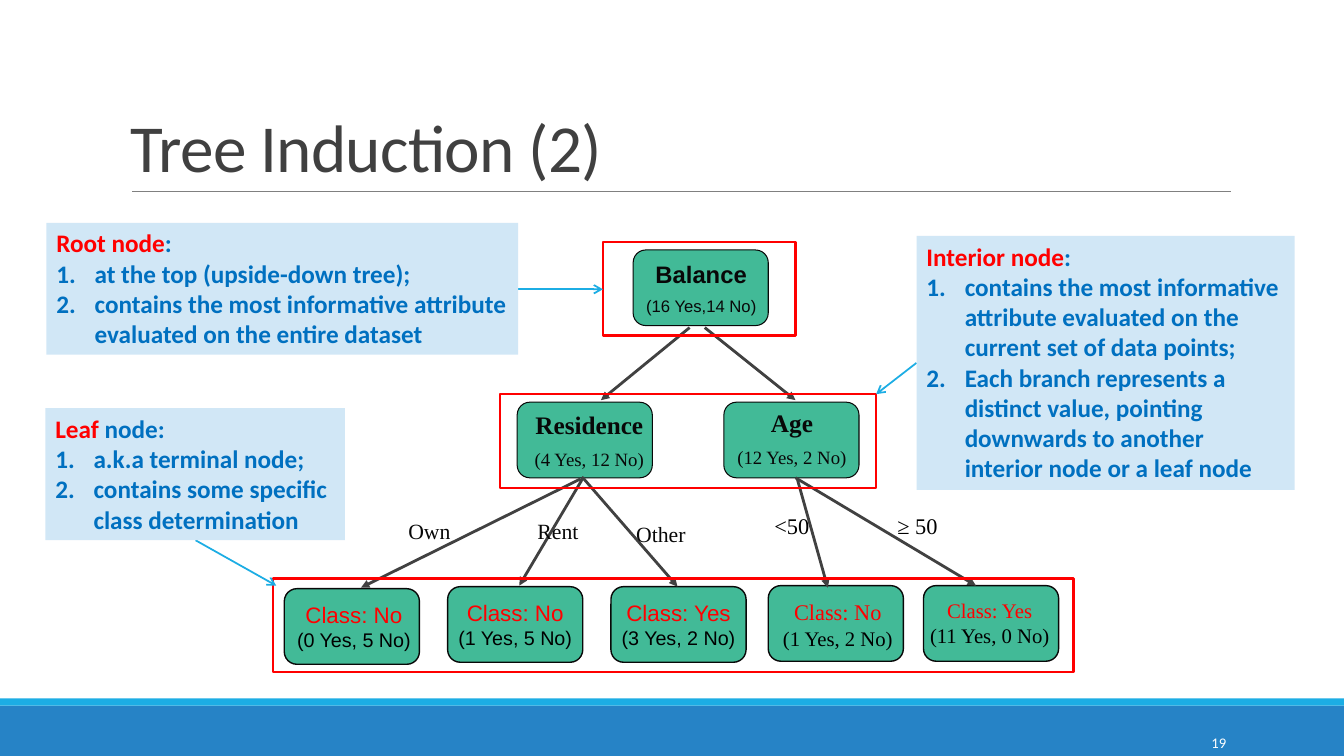
from dataclasses import dataclass

from lxml import etree
from pptx import Presentation
from pptx.dml.color import RGBColor
from pptx.enum import shapes, text
from pptx.oxml.ns import qn
from pptx.util import Inches, Pt


@dataclass(frozen=True)
class Theme:
    """Colours, fonts and type sizes of the slide."""
    band: str = "2683C6"
    accent: str = "1CADE4"
    rule: str = "808080"
    heading: str = "404040"
    node: str = "42BA97"
    ink: str = "080808"
    black: str = "000000"
    edge: str = "414141"
    red: str = "FF0000"
    blue: str = "0070C0"
    note: str = "D1E7F6"
    white: str = "FFFFFF"
    body: str = "Calibri"
    sans: str = "Arial"
    serif: str = "Times New Roman"
    title_size: float = 48
    note_size: float = 18
    page_size: float = 10.5
    root_sizes: tuple = (17, 11.9)
    inner_sizes: tuple = (18, 13.4)
    leaf_sizes: tuple = (16, 14.1)
    old_sizes: tuple = (16, 14.8)
    oldest_sizes: tuple = (14.8, 14.8)
    label_size: float = 15.5
    age_label_size: float = 16


class TreeSlide:
    """Draws the elements of a decision tree on one slide."""

    NODE_W, NODE_H = 1.34, 0.75

    def __init__(self, prs, theme):
        self.theme = theme
        self.slide = prs.slides.add_slide(prs.slide_layouts[6])

    def shape(self, box, fill=None, line=None, width=1, kind=shapes.MSO_SHAPE.RECTANGLE):
        """Add a preset shape with an optional fill and outline."""
        sp = self.slide.shapes.add_shape(kind, *map(Inches, box))
        sp.shadow.inherit = False
        if fill:
            sp.fill.solid()
            sp.fill.fore_color.rgb = RGBColor.from_string(fill)
        else:
            sp.fill.background()
        if line:
            sp.line.color.rgb = RGBColor.from_string(line)
            sp.line.width = Pt(width)
        else:
            sp.line.fill.background()
        return sp

    def line(self, start, end, color, width, head=None):
        """Add a straight connector with an optional arrowhead."""
        cx = self.slide.shapes.add_connector(
            shapes.MSO_CONNECTOR.STRAIGHT, *map(Inches, (*start, *end)))
        cx.line.color.rgb = RGBColor.from_string(color)
        cx.line.width = Pt(width)
        if head:
            etree.SubElement(cx.line._get_or_add_ln(), qn("a:tailEnd"), type=head)
        etree.SubElement(cx._element.spPr, qn("a:effectLst"))

    def run(self, p, words, size, color, font, bold=False):
        """Add one styled run to a paragraph."""
        r = p.add_run()
        r.text = words
        r.font.size, r.font.name, r.font.bold = Pt(size), font, bold
        r.font.color.rgb = RGBColor.from_string(color)
        return r

    def textbox(self, box, anchor=text.MSO_ANCHOR.MIDDLE, inset=None, wrap=False):
        """Add an empty text box and return its frame."""
        tf = self.slide.shapes.add_textbox(*map(Inches, box)).text_frame
        tf.word_wrap, tf.vertical_anchor = wrap, anchor
        if inset is not None:
            tf.margin_left = tf.margin_right = Inches(inset)
            tf.margin_top = tf.margin_bottom = Inches(inset)
        return tf

    def title(self, words):
        """Add the slide title and the rule below it."""
        t = self.theme
        self.line((1.31, 1.9), (12.21, 1.9), t.rule, 0.5)
        p = self.textbox((1.2, 0.31, 11, 1.59), text.MSO_ANCHOR.BOTTOM, wrap=True).paragraphs[0]
        p.line_spacing = 0.85
        r = self.run(p, words, t.title_size, t.heading, t.body)
        r.font._element.set("spc", "-50")

    def footer(self, number):
        """Add the bottom bands and the page number."""
        t = self.theme
        self.shape((0, 7, 13.33, 0.5), t.band)
        self.shape((0, 6.93, 13.33, 0.07), t.accent)
        p = self.textbox((10.83, 7.17, 1.43, 0.4), wrap=True).paragraphs[0]
        p.alignment = text.PP_ALIGN.RIGHT
        self.run(p, number, t.page_size, t.white, t.body)

    def node(self, at, text_box, name, counts, font, sizes, leaf=False):
        """Add a tree node with its name over its class counts."""
        t = self.theme
        self.shape((*at, self.NODE_W, self.NODE_H), t.node, t.ink, 1 if leaf else 0.75,
                   shapes.MSO_SHAPE.ROUNDED_RECTANGLE)
        tf = self.textbox(text_box, inset=0)
        first, second = tf.paragraphs[0], tf.add_paragraph()
        first.alignment = second.alignment = text.PP_ALIGN.CENTER
        if not leaf:
            first.space_after = Pt(6)
        self.run(first, name, sizes[0], t.red if leaf else t.ink, font, not leaf)
        self.run(second, counts, sizes[1], t.black if leaf else t.ink, font)

    def label(self, box, words, size, color):
        """Add the value that a branch stands for."""
        p = self.textbox(box, inset=0.04).paragraphs[0]
        self.run(p, words, size, color, self.theme.serif)

    def note(self, box, term, rest, points):
        """Add a definition box with a numbered list."""
        t = self.theme
        tf = self.shape(box, t.note).text_frame
        tf.word_wrap, tf.vertical_anchor = True, text.MSO_ANCHOR.TOP
        p = tf.paragraphs[0]
        p.alignment = text.PP_ALIGN.LEFT
        self.run(p, term, t.note_size, t.red, t.body, True)
        self.run(p, rest, t.note_size, t.blue, t.body, True)
        for point in points:
            p = tf.add_paragraph()
            p.alignment = text.PP_ALIGN.LEFT
            pPr = p._p.get_or_add_pPr()
            pPr.set("marL", str(Inches(0.38)))
            pPr.set("indent", str(-Inches(0.38)))
            etree.SubElement(pPr, qn("a:buFont"), typeface="+mj-lt")
            etree.SubElement(pPr, qn("a:buAutoNum"), type="arabicPeriod")
            self.run(p, point, t.note_size, t.blue, t.body, True)


def main():
    """Build and save the slide."""
    prs = Presentation()
    prs.slide_width, prs.slide_height = Inches(13.33), Inches(7.5)
    t = Theme()
    s = TreeSlide(prs, t)
    s.footer("19")
    s.title("Tree Induction (2)")

    for node in (
        ((6.28, 2.48), (6.39, 2.57, 1.13, 0.57), "Balance", "(16 Yes,14 No)", t.sans, t.root_sizes),
        ((5.13, 3.99), (5.3, 4.06, 1.09, 0.61), "Residence", "(4 Yes, 12 No)", t.serif, t.inner_sizes),
        ((7.18, 3.99), (7.31, 4.04, 1.09, 0.61), "Age", "(12 Yes, 2 No)", t.serif, t.inner_sizes),
    ):
        s.node(*node)
    for leaf in (
        ((2.82, 5.84), (2.94, 5.96, 1.14, 0.51), "Class: No", "(0 Yes, 5 No)", t.sans, t.leaf_sizes),
        ((4.44, 5.82), (4.54, 5.94, 1.14, 0.51), "Class: No", "(1 Yes, 5 No)", t.sans, t.leaf_sizes),
        ((6.06, 5.82), (6.16, 5.94, 1.14, 0.51), "Class: Yes", "(3 Yes, 2 No)", t.sans, t.leaf_sizes),
        ((7.62, 5.81), (7.66, 5.91, 1.3, 0.57), "Class: No", "(1 Yes, 2 No)", t.serif, t.old_sizes),
        ((9.16, 5.81), (9.22, 5.9, 1.19, 0.55), "Class: Yes", "(11 Yes, 0 No)", t.serif, t.oldest_sizes),
    ):
        s.node(*leaf, leaf=True)

    for start, end in (
        ((6.84, 3.25), (5.96, 3.97)), ((6.99, 3.25), (7.89, 3.97)),
        ((5.76, 4.75), (3.58, 5.83)), ((5.79, 4.75), (6.72, 5.82)),
        ((5.79, 4.73), (5.15, 5.81)), ((7.89, 4.74), (9.68, 5.81)),
        ((7.91, 4.76), (8.21, 5.83)),
    ):
        s.line(start, end, t.edge, 2, "triangle")
    for x, y, w, words in ((4.01, 5.1, 0.5, "Own"), (5.29, 5.1, 0.49, "Rent"), (6.27, 5.13, 0.57, "Other")):
        s.label((x, y, w, 0.34), words, t.label_size, t.ink)
    for x, w, words in ((7.64, 0.43, "<50"), (8.86, 0.48, "≥ 50")):
        s.label((x, 5.04, w, 0.35), words, t.age_label_size, t.black)

    for x, y, w in ((5.98, 2.4, 1.91), (4.96, 3.91, 3.73), (2.71, 5.74, 7.94)):
        s.shape((x, y, w, 0.93), line=t.red, width=1.75)
    for start, end in (((5.13, 2.87), (5.98, 2.87)), ((9.09, 3.6), (8.69, 3.91)), ((1.94, 5.36), (2.74, 5.81))):
        s.line(start, end, t.accent, 1.25, "arrow")

    s.note((0.46, 2.21, 4.68, 1.31), "Root node", ":", (
        "at the top (upside-down tree);",
        "contains the most informative attribute evaluated on the entire dataset"))
    s.note((9.09, 2.34, 3.75, 2.52), "Interior node", ":", (
        "contains the most informative attribute evaluated on the current set of data points;",
        "Each branch represents a distinct value, pointing downwards to another interior node or a leaf node"))
    s.note((0.45, 4.05, 2.97, 1.31), "Leaf", " node:", (
        "a.k.a terminal node;", "contains some specific class determination"))
    prs.save("out.pptx")


if __name__ == "__main__":
    main()
